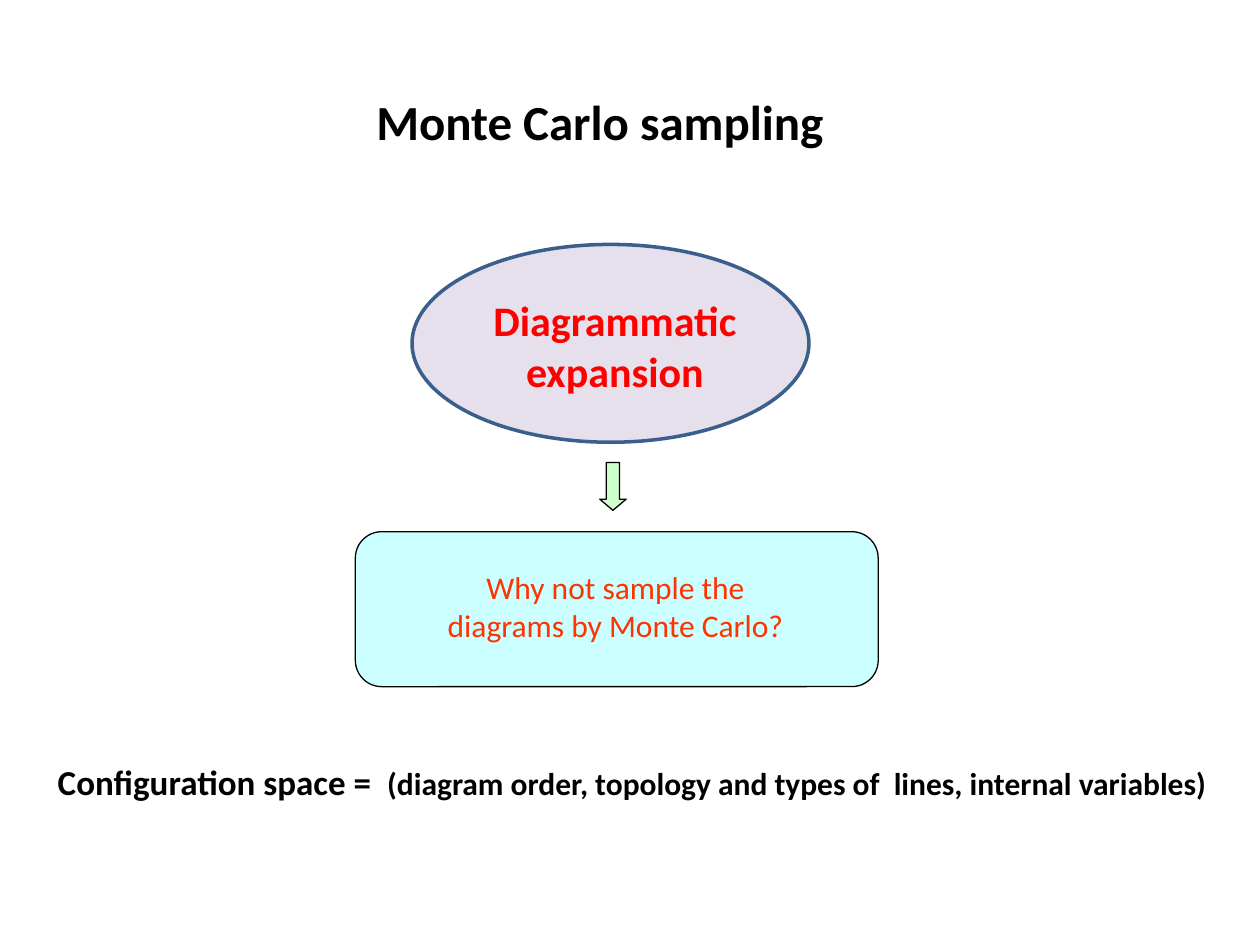
from pptx import Presentation
from pptx import util as u
from pptx.dml.color import RGBColor
from pptx.enum import shapes, text


def color(value):
    return RGBColor.from_string(value)


class SlideBuilder:
    font = "Calibri"
    outline = "000000"

    def __init__(self, slide):
        self.slide = slide

    def shape(self, kind, place, fill, line=outline, width=0.75, adjustments=()):
        item = self.slide.shapes.add_shape(kind, *map(u.Inches, place))
        item.shadow.inherit = False
        item.fill.solid()
        item.fill.fore_color.rgb = color(fill)
        item.line.color.rgb = color(line)
        item.line.width = u.Pt(width)
        for index, value in enumerate(adjustments):
            item.adjustments[index] = value
        return item

    def text(self, place, spans, ink="000000", bold=True, centered=True):
        box = self.slide.shapes.add_textbox(*map(u.Inches, place))
        frame = box.text_frame
        frame.word_wrap = centered
        frame.auto_size = text.MSO_AUTO_SIZE.SHAPE_TO_FIT_TEXT
        para = frame.paragraphs[0]
        para.alignment = text.PP_ALIGN.CENTER if centered else text.PP_ALIGN.LEFT
        for wording, size in spans:
            span = para.add_run()
            span.text = wording
            span.font.color.rgb = color(ink)
            style = {"name": self.font, "size": u.Pt(size), "bold": bold}
            for name, value in style.items():
                setattr(span.font, name, value)
        return box


def main():
    deck = Presentation()
    deck.slide_width, deck.slide_height = u.Inches(10), u.Inches(7.5)
    page = SlideBuilder(deck.slides.add_slide(deck.slide_layouts[6]))
    kinds = shapes.MSO_SHAPE

    page.shape(kinds.ROUNDED_RECTANGLE, (2.82, 4.22, 4.15, 1.23), "CCFFFF",
               adjustments=(0.17,))
    page.text((3.35, 4.46, 3.07, 0.71),
              [("Why not sample the diagrams by Monte Carlo?", 18)],
              ink="FF3300", bold=False)
    page.shape(kinds.DOWN_ARROW, (4.76, 3.67, 0.21, 0.38), "CCFFCC",
               adjustments=(0.5, 0.42))
    page.text((0.36, 5.99, 9.45, 0.44),
              [("Configuration space =  ", 20),
               ("(diagram order, topology and types of  lines, internal variables)", 18)],
              centered=False)
    page.shape(kinds.OVAL, (3.27, 1.94, 3.15, 1.57), "E6E0EC",
               line="3A5F8C", width=2)
    page.text((3.74, 2.29, 2.28, 0.91), [("Diagrammatic expansion", 24)],
              ink="FF0000")
    page.text((2.32, 0.68, 4.88, 0.57), [("Monte Carlo sampling", 28)])

    deck.save("out.pptx")


if __name__ == "__main__":
    main()
